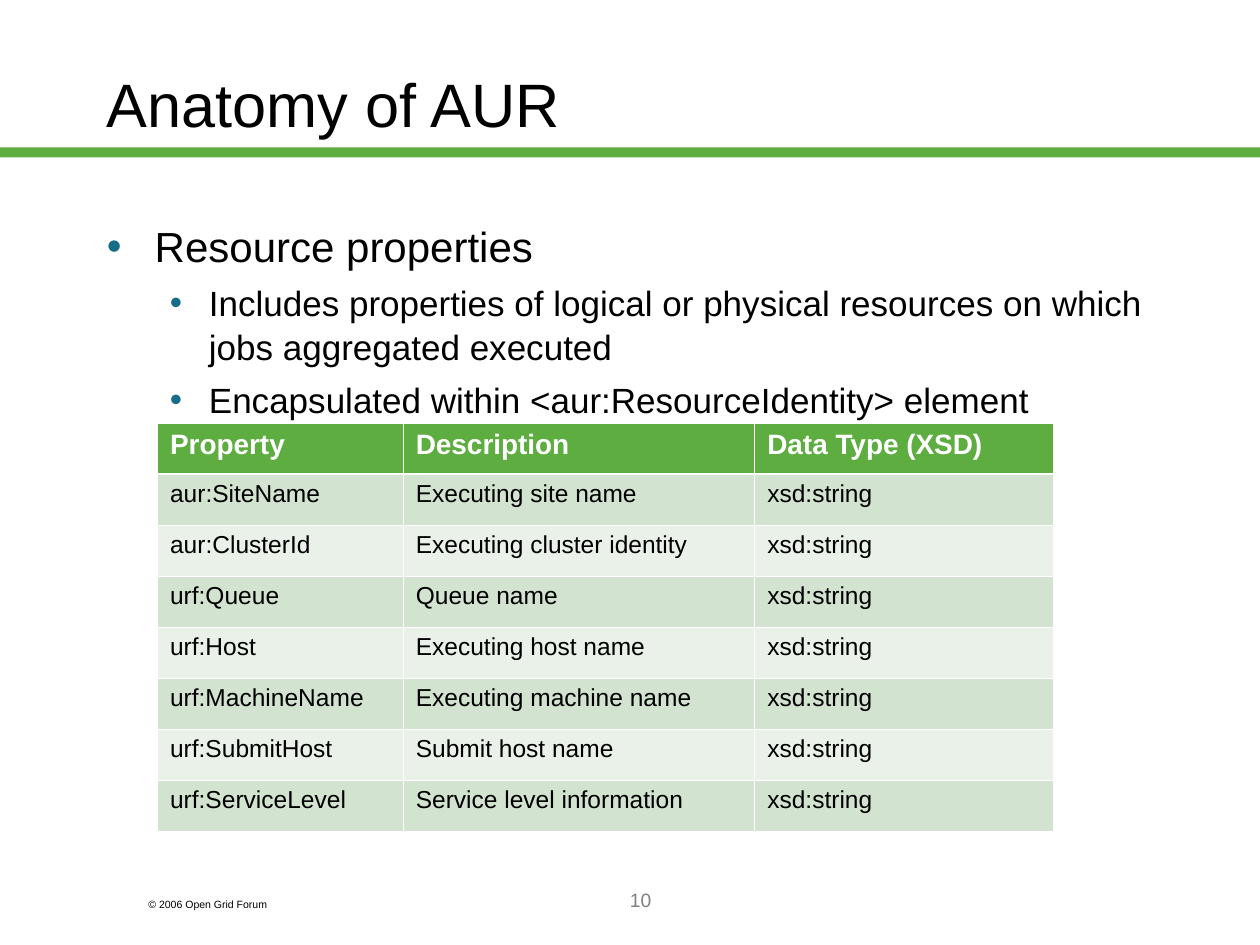
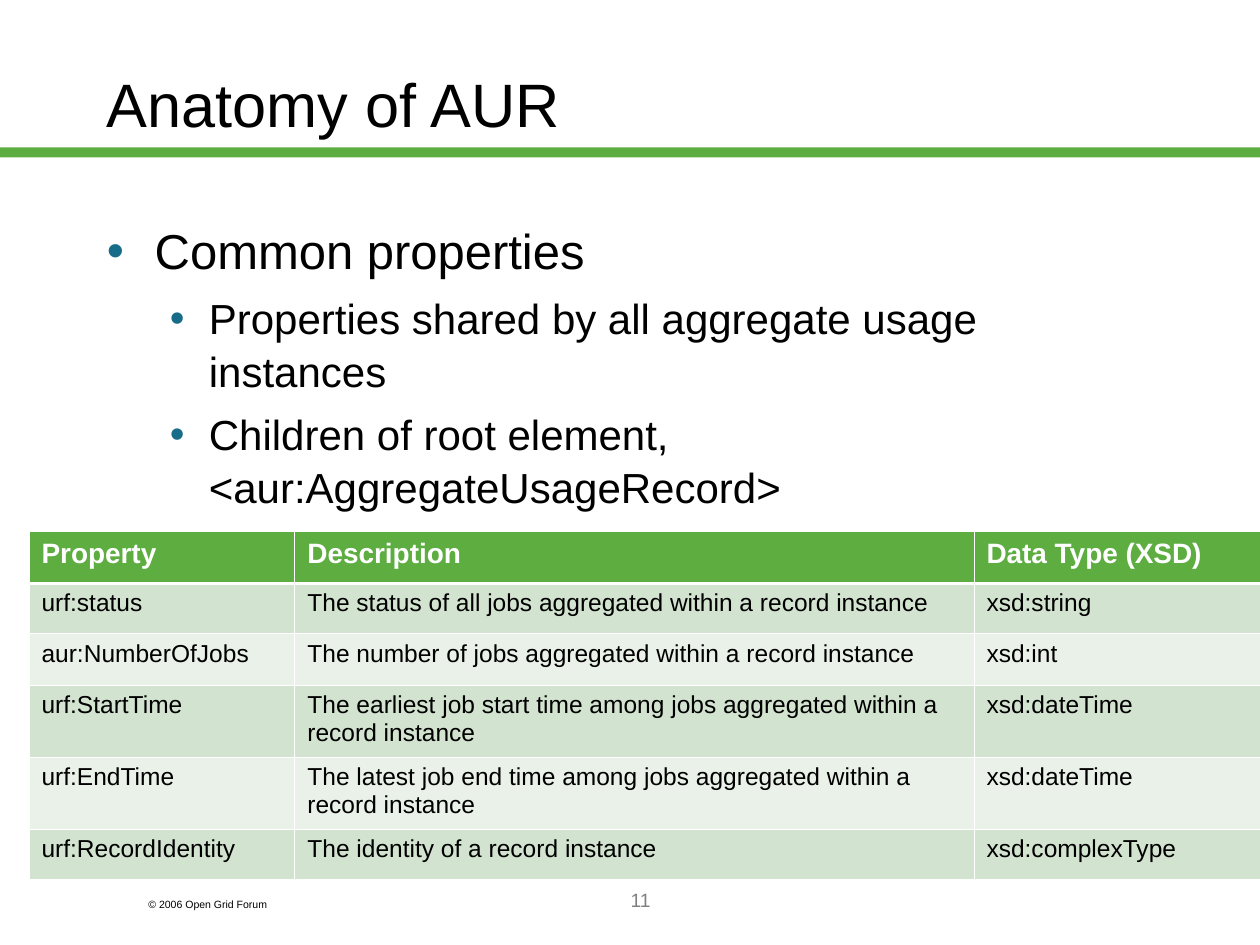
from lxml import etree
from pptx import Presentation
from pptx.dml.color import RGBColor
from pptx.enum import shapes, text
from pptx.oxml import ns
from pptx.util import Inches, Pt

FONT = "Arial"
GREEN = RGBColor(0x5D, 0xAD, 0x41)
BAND_DARK = RGBColor(0xD2, 0xE3, 0xCF)
BAND_LIGHT = RGBColor(0xEA, 0xF1, 0xE8)
TEAL = RGBColor(0x17, 0x6D, 0x89)
GRAY = RGBColor(0x80, 0x80, 0x80)
BLACK = RGBColor(0, 0, 0)
WHITE = RGBColor(0xFF, 0xFF, 0xFF)

TITLE_BOX = (0.75, 0.19, 8.5, 1.25)
BODY_BOX = (0.75, 1.67, 8.5, 4.5)
COPYRIGHT_BOX = (1.08, 7.08, 1.5, 0.2)
NUMBER_BOX = (2.17, 7, 5.83, 0.5)
BAND_BOX = (0, 1.17, 10, 0.08)
LINE_SPACING = 1.05
THIN, THICK = 0.45, 1.47
HEADER = ("Property", "Description", "Data Type (XSD)")

SLIDES = [
    dict(
        number=10,
        heading="Resource properties",
        points=["Includes properties of logical or physical resources on which "
                "jobs aggregated executed",
                "Encapsulated within <aur:ResourceIdentity> element"],
        sizes=(24, 20),
        gap=5,
        origin=(1.25, 3.36),
        widths=(1.95, 2.79, 2.37),
        heights=[3.24 / 8] * 8,
        rows=[
            ("aur:SiteName", "Executing site name", "xsd:string"),
            ("aur:ClusterId", "Executing cluster identity", "xsd:string"),
            ("urf:Queue", "Queue name", "xsd:string"),
            ("urf:Host", "Executing host name", "xsd:string"),
            ("urf:MachineName", "Executing machine name", "xsd:string"),
            ("urf:SubmitHost", "Submit host name", "xsd:string"),
            ("urf:ServiceLevel", "Service level information", "xsd:string"),
        ],
    ),
    dict(
        number=11,
        heading="Common properties",
        points=["Properties shared by all aggregate usage instances",
                "Children of root element, <aur:AggregateUsageRecord>"],
        sizes=(28, 24),
        gap=6,
        origin=(0.23, 4.22),
        widths=(2.11, 5.39, 2.27),
        heights=[0.41, 0.4, 0.41, 0.57, 0.57, 0.4],
        rows=[
            ("urf:status", "The status of all jobs aggregated within a record instance",
             "xsd:string"),
            ("aur:NumberOfJobs", "The number of jobs aggregated within a record instance",
             "xsd:int"),
            ("urf:StartTime", "The earliest job start time among jobs aggregated within a "
             "record instance", "xsd:dateTime"),
            ("urf:EndTime", "The latest job end time among jobs aggregated within a "
             "record instance", "xsd:dateTime"),
            ("urf:RecordIdentity", "The identity of a record instance", "xsd:complexType"),
        ],
    ),
]


def inches(values):
    return [Inches(v) for v in values]


def style(p, size, color=BLACK, bold=False):
    for r in p.runs:
        r.font.name = FONT
        r.font.size = Pt(size)
        r.font.bold = bold
        r.font.color.rgb = color


def add_text(s, box, content, size, color=BLACK):
    tf = s.shapes.add_textbox(*inches(box)).text_frame
    tf.word_wrap = True
    tf.text = content
    style(tf.paragraphs[0], size, color)
    return tf


def add_bullet(p, left, hang):
    pPr = p._p.get_or_add_pPr()
    pPr.set("marL", str(Inches(left)))
    pPr.set("indent", str(-Inches(hang)))
    color = etree.SubElement(pPr, ns.qn("a:buClr"))
    etree.SubElement(color, ns.qn("a:srgbClr"), val=str(TEAL))
    etree.SubElement(pPr, ns.qn("a:buFont"), typeface=FONT)
    etree.SubElement(pPr, ns.qn("a:buChar"), char="•")


def add_frame(s, number):
    band = s.shapes.add_shape(shapes.MSO_SHAPE.RECTANGLE, *inches(BAND_BOX))
    band.shadow.inherit = False
    band.fill.solid()
    band.fill.fore_color.rgb = GREEN
    band.line.fill.background()
    add_text(s, COPYRIGHT_BOX, "© 2006 Open Grid Forum", 6)
    title = add_text(s, TITLE_BOX, "Anatomy of AUR", 35)
    title.vertical_anchor = text.MSO_ANCHOR.MIDDLE
    tf = add_text(s, NUMBER_BOX, str(number), 11, GRAY)
    tf.paragraphs[0].alignment = text.PP_ALIGN.CENTER


def add_body(s, box, heading, points, sizes, gap):
    tf = add_text(s, box, heading, sizes[0])
    tf.margin_top = Inches(0.06)
    add_bullet(tf.paragraphs[0], 0.38, 0.38)
    for point in points:
        p = tf.add_paragraph()
        p.text = point
        p.level = 1
        add_bullet(p, 0.81, 0.31)
        p.space_before = Pt(gap)
        style(p, sizes[1])
    for p in tf.paragraphs:
        p.line_spacing = LINE_SPACING


def add_borders(cell, top, bottom):
    tcPr = cell._tc.get_or_add_tcPr()
    for side, width in (("L", THIN), ("R", THIN), ("T", top), ("B", bottom)):
        ln = etree.SubElement(tcPr, ns.qn(f"a:ln{side}"), w=str(Pt(width)))
        fill = etree.SubElement(ln, ns.qn("a:solidFill"))
        etree.SubElement(fill, ns.qn("a:srgbClr"), val=str(WHITE))


def add_property_table(s, origin, widths, heights, rows):
    box = (*origin, sum(widths), sum(heights))
    table = s.shapes.add_table(len(heights), len(widths), *inches(box)).table
    for column, width in zip(table.columns, widths):
        column.width = Inches(width)
    for i, (height, values) in enumerate(zip(heights, [HEADER, *rows])):
        table.rows[i].height = Inches(height)
        header = i == 0
        fill = GREEN if header else BAND_DARK if i % 2 else BAND_LIGHT
        for cell, value in zip(table.rows[i].cells, values):
            cell.text = value
            style(cell.text_frame.paragraphs[0], 16 if header else 14,
                  WHITE if header else BLACK, header)
            add_borders(cell, THICK if i == 1 else THIN, THICK if header else THIN)
            cell.fill.solid()
            cell.fill.fore_color.rgb = fill


def add_anatomy_slide(prs, number, heading, points, sizes, gap, **table):
    s = prs.slides.add_slide(prs.slide_layouts[6])
    add_frame(s, number)
    add_body(s, BODY_BOX, heading, points, sizes, gap)
    add_property_table(s, **table)


def main():
    prs = Presentation()
    prs.slide_width, prs.slide_height = Inches(10), Inches(7.5)
    for content in SLIDES:
        add_anatomy_slide(prs, **content)
    prs.save("out.pptx")


if __name__ == "__main__":
    main()
